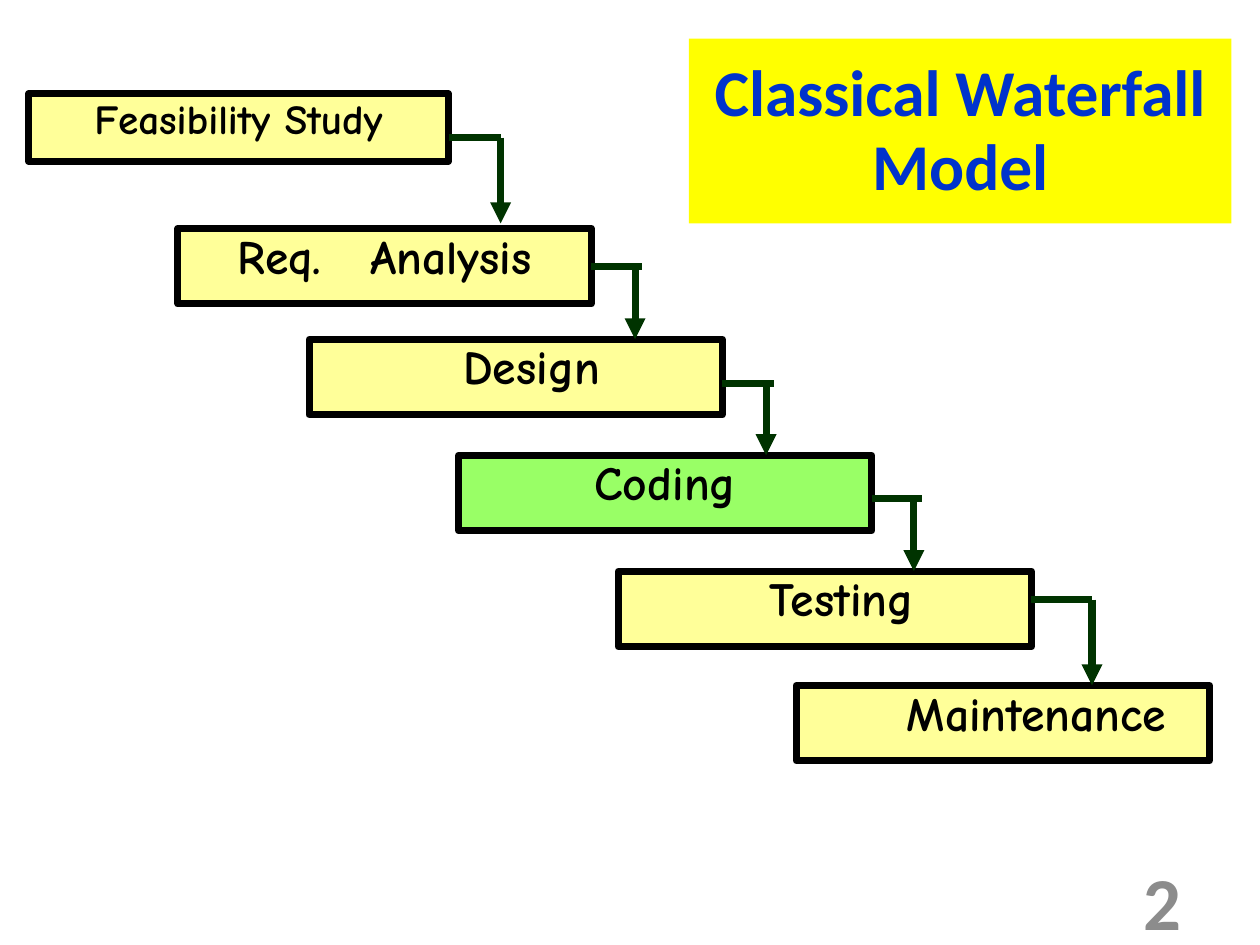
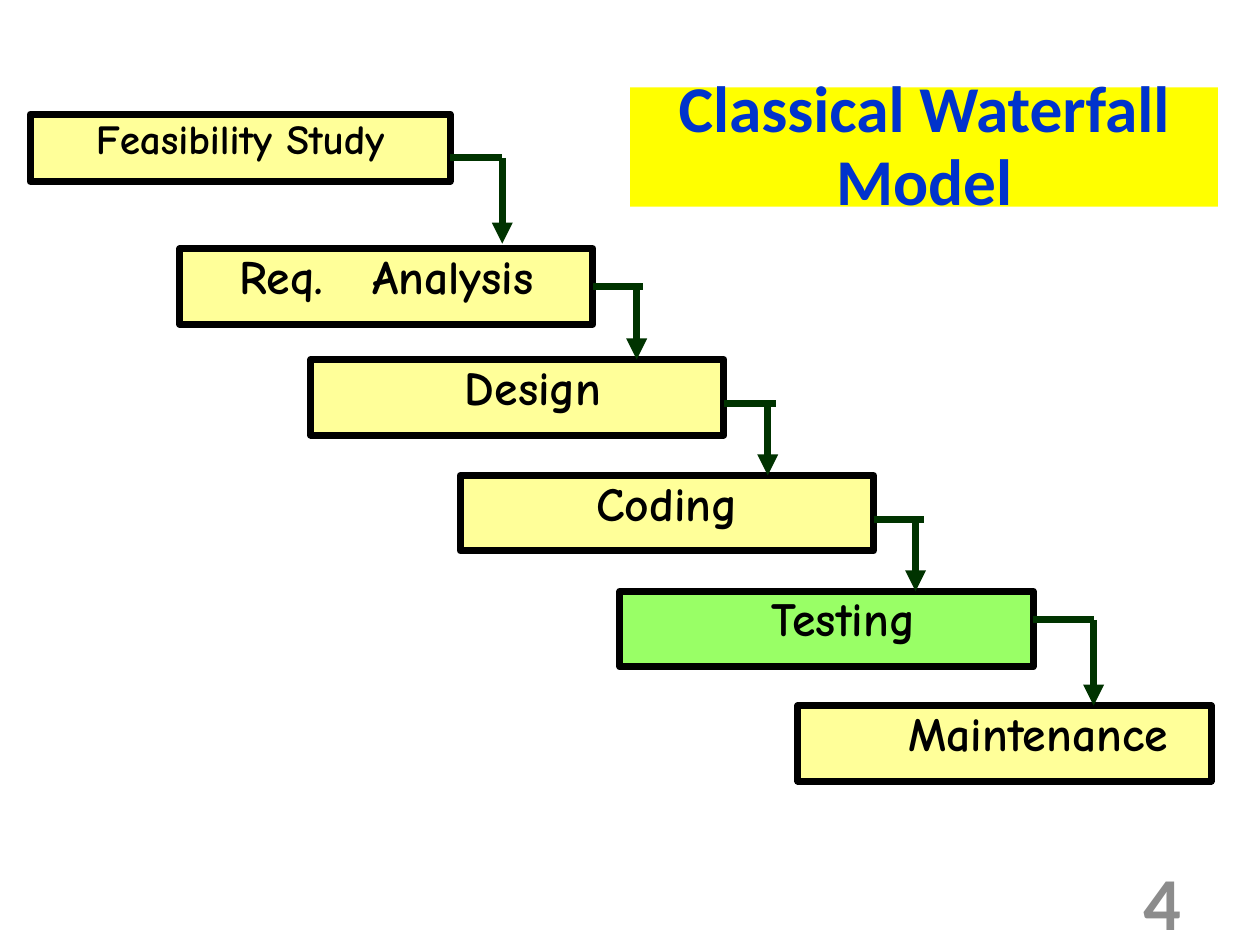
from dataclasses import dataclass
from typing import Optional

from lxml.etree import SubElement
from pptx import Presentation
from pptx.dml.color import RGBColor
from pptx.enum.shapes import MSO_CONNECTOR, MSO_SHAPE
from pptx.enum.text import MSO_ANCHOR, MSO_AUTO_SIZE, PP_ALIGN
from pptx.oxml.ns import qn
from pptx.util import Inches, Pt

YELLOW = RGBColor(0xFF, 0xFF, 0x00)
BLUE = RGBColor(0x00, 0x33, 0xCC)
CREAM = RGBColor(0xFF, 0xFF, 0x99)
GREEN = RGBColor(0x99, 0xFF, 0x66)
DARK_GREEN = RGBColor(0x00, 0x33, 0x00)
BLACK = RGBColor(0x00, 0x00, 0x00)
GREY = RGBColor(0x8C, 0x8C, 0x8C)

TITLE_FONT = "Calibri"
STAGE_FONT = "Comic Neue"
LINE_WIDTH = Pt(3)
RIGHT_SIDE = 3
WIDE_SPACE = "1370"  # extra width of a space, in hundredths of a point


@dataclass
class Stage:
    """A step of the waterfall; left and top count from the first step."""
    label: str
    left: float
    top: float
    width: float = 2.46
    height: float = 0.45
    size: float = 20.4
    indent: float = 0
    wide_space: bool = False
    exit_y: Optional[float] = 0.26  # arrow's start below the top, None for the middle
    run: float = 0.31      # length of the arrow's level part
    drop_x: float = 0.26   # where the arrow turns down, past the right side
    gap: float = 0         # space left under the arrowhead


STAGES = [
    Stage("Feasibility Study", 0, 0, width=2.5, height=0.4, size=17.7,
          drop_x=0.31, gap=0.03),
    Stage("Req. Analysis", 0.89, 0.8, wide_space=True, exit_y=None, run=0.3),
    Stage("Design", 1.67, 1.46, indent=0.19),
    Stage("Coding", 2.56, 2.15, run=0.3, drop_x=0.25),
    Stage("Testing", 3.51, 2.84, indent=0.2, exit_y=0.17, run=0.36, drop_x=0.36),
    Stage("Maintenance", 4.57, 3.52, indent=0.4),
]

# Title box, top left of the waterfall, current stage, slide number
SLIDES = [
    ((4.1, 0.23, 3.23, 1.1), (0.17, 0.56), "Coding", "2"),
    ((3.75, 0.52, 3.5, 0.71), (0.18, 0.68), "Testing", "4"),
]


def format_runs(paragraph, font_name, size, color):
    for run in paragraph.runs:
        run.font.name = font_name
        run.font.size = Pt(size)
        run.font.bold = True
        run.font.color.rgb = color


def set_frame(frame, anchor, indent=0):
    frame.word_wrap = True
    frame.auto_size = MSO_AUTO_SIZE.NONE
    frame.vertical_anchor = anchor
    frame.margin_left = Inches(0.01 + indent)
    frame.margin_right = Inches(0.01)
    frame.margin_top = frame.margin_bottom = Inches(0.04)


def set_paragraph(paragraph, line_spacing, space_before):
    paragraph.alignment = PP_ALIGN.CENTER
    paragraph.line_spacing = line_spacing
    paragraph.space_before = Pt(space_before)


def add_title(slide, box):
    title = slide.shapes.title
    title.left, title.top, title.width, title.height = map(Inches, box)
    title.fill.solid()
    title.fill.fore_color.rgb = YELLOW
    set_frame(title.text_frame, MSO_ANCHOR.MIDDLE)
    title.text_frame.text = "Classical Waterfall Model"
    heading = title.text_frame.paragraphs[0]
    set_paragraph(heading, 0.94, 6.8)
    format_runs(heading, TITLE_FONT, 28, BLUE)


def add_stage(slide, stage, left, top, fill):
    step = slide.shapes.add_shape(
        MSO_SHAPE.RECTANGLE, Inches(left), Inches(top),
        Inches(stage.width), Inches(stage.height))
    step.shadow.inherit = False
    step.fill.solid()
    step.fill.fore_color.rgb = fill
    step.line.color.rgb = BLACK
    step.line.width = LINE_WIDTH
    set_frame(step.text_frame, MSO_ANCHOR.TOP, stage.indent)
    label = step.text_frame.paragraphs[0]
    if stage.wide_space:
        first, last = stage.label.split()
        for part in (first, " ", last):
            label.add_run().text = part
    else:
        label.text = stage.label
    set_paragraph(label, 0.85, 8.6)
    format_runs(label, STAGE_FONT, stage.size, BLACK)
    if stage.wide_space:
        label.runs[1]._r.get_or_add_rPr().set("spc", WIDE_SPACE)
    return step


def add_line(slide, start, end, arrow=False):
    line = slide.shapes.add_connector(
        MSO_CONNECTOR.STRAIGHT, *map(Inches, start + end))
    line.line.color.rgb = DARK_GREEN
    line.line.width = LINE_WIDTH
    properties = line._element.spPr
    if arrow:
        SubElement(properties.find(qn("a:ln")), qn("a:tailEnd"), type="triangle")
    SubElement(properties, qn("a:effectLst"))
    return line


def add_waterfall(slide, origin, current):
    x, y = origin
    # Steps
    steps = [
        add_stage(slide, stage, x + stage.left, y + stage.top,
                  GREEN if stage.label == current else CREAM)
        for stage in STAGES]
    # Bent arrows from each step to the next
    for stage, following, step in zip(STAGES, STAGES[1:], steps):
        from_middle = stage.exit_y is None
        right = x + stage.left + stage.width
        level = y + stage.top + (stage.height / 2 if from_middle else stage.exit_y)
        turn = right + stage.drop_x
        level_part = add_line(slide, (right, level), (right + stage.run, level))
        if from_middle:
            level_part.begin_connect(step, RIGHT_SIDE)
        add_line(slide, (turn, level),
                 (turn, y + following.top - stage.gap), arrow=True)


def add_slide_number(slide, number):
    box = slide.shapes.add_textbox(
        Inches(5.38), Inches(5.21), Inches(1.75), Inches(0.3))
    frame = box.text_frame
    frame.word_wrap = True
    frame.vertical_anchor = MSO_ANCHOR.MIDDLE
    frame.text = number
    frame.paragraphs[0].alignment = PP_ALIGN.RIGHT
    format_runs(frame.paragraphs[0], TITLE_FONT, 32, GREY)


def main():
    deck = Presentation()
    # A 4:3 slide
    deck.slide_width = Inches(7.5)
    deck.slide_height = deck.slide_width * 3 // 4
    title_only = deck.slide_layouts[5]
    for title_box, origin, current, number in SLIDES:
        slide = deck.slides.add_slide(title_only)
        add_title(slide, title_box)
        add_waterfall(slide, origin, current)
        add_slide_number(slide, number)
    deck.save("out.pptx")


if __name__ == "__main__":
    main()
